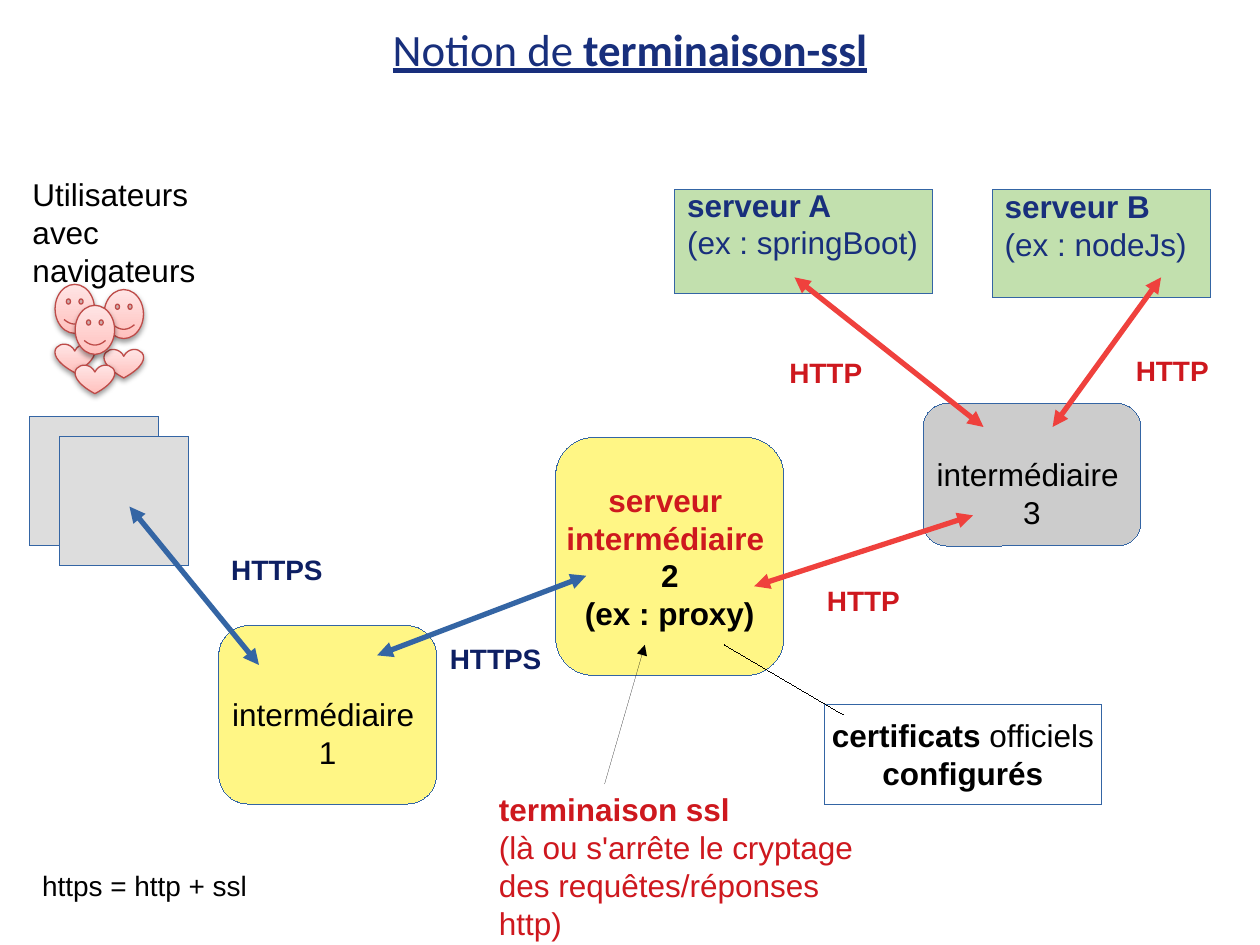
from lxml.etree import SubElement
from pptx import Presentation
from pptx.dml.color import RGBColor
from pptx.enum.shapes import MSO_CONNECTOR, MSO_SHAPE
from pptx.enum.text import MSO_ANCHOR, PP_ALIGN
from pptx.oxml import parse_xml
from pptx.oxml.ns import nsdecls, qn
from pptx.util import Pt

NAVY = RGBColor(0x18, 0x2F, 0x7C)
INK = RGBColor(0x0D, 0x1F, 0x63)
BLUE = RGBColor(0x34, 0x65, 0xA4)
RED = RGBColor(0xCE, 0x18, 0x1E)
CORAL = RGBColor(0xEF, 0x41, 0x3D)
BLACK = RGBColor(0, 0, 0)
GREEN = RGBColor(0xC2, 0xE0, 0xAE)
YELLOW = RGBColor(0xFF, 0xF6, 0x85)
GREY = RGBColor(0xCC, 0xCC, 0xCC)
PALE = RGBColor(0xDD, 0xDD, 0xDD)
BRICK = RGBColor(0xBE, 0x4B, 0x48)
PINK = RGBColor(0xFF, 0xC1, 0xBE)
BLUSH = RGBColor(0xFF, 0xE5, 0xE5)

HAIR = 0.01  # a width of zero would fall back to the theme's line
SHADOW = (f'<a:effectLst {nsdecls("a")}><a:outerShdw blurRad="39370" dist="20320" '
          'dir="5400000" rotWithShape="0"><a:srgbClr val="000000">'
          '<a:alpha val="38000"/></a:srgbClr></a:outerShdw></a:effectLst>')


def write(shape, lines, size=18, align=PP_ALIGN.LEFT, font="Arial", under=None):
    """Fill a shape with lines, each a list of (text, colour, bold) runs.

    A newline within a run becomes a line break.
    """
    frame = shape.text_frame
    for i, line in enumerate(lines):
        para = frame.paragraphs[0] if i == 0 else frame.add_paragraph()
        para.alignment = align
        for text, color, bold in line:
            for j, piece in enumerate(text.split("\n")):
                if j:
                    para.add_line_break()
                run = para.add_run()
                run.text = piece
                run.font.name, run.font.size = font, Pt(size)
                run.font.bold, run.font.underline = bold, under
                run.font.color.rgb = color


def label(slide, x, y, w, h, lines, size=18):
    box = slide.shapes.add_textbox(Pt(x), Pt(y), Pt(w), Pt(h))
    box.text_frame.word_wrap = True
    write(box, lines, size)


def panel(slide, kind, x, y, w, h, fill=None):
    shape = slide.shapes.add_shape(kind, Pt(x), Pt(y), Pt(w), Pt(h))
    shape.shadow.inherit = False
    if fill is None:
        shape.fill.background()
    else:
        shape.fill.solid()
        shape.fill.fore_color.rgb = fill
    shape.line.color.rgb = BLUE
    shape.line.width = Pt(HAIR)
    shape.text_frame.word_wrap = False
    shape.text_frame.vertical_anchor = MSO_ANCHOR.MIDDLE
    return shape


def link(slide, start, end, color=BLACK, width=HAIR, heads=()):
    """Draw a line with arrowheads at the named ends."""
    line = slide.shapes.add_connector(
        MSO_CONNECTOR.STRAIGHT, *(Pt(v) for v in (*start, *end)))
    line.line.color.rgb = color
    line.line.width = Pt(width)
    for head in heads:
        SubElement(line.line._get_or_add_ln(), qn("a:" + head), type="triangle")
    SubElement(line._element.spPr, qn("a:effectLst"))


def heading(slide, x, y, w, h):
    title = slide.shapes.title
    title.left, title.top, title.width, title.height = Pt(x), Pt(y), Pt(w), Pt(h)
    title.text_frame.vertical_anchor = MSO_ANCHOR.MIDDLE
    write(title, [[("Notion de ", NAVY, False), ("terminaison-ssl", NAVY, True)]],
          25.6, PP_ALIGN.CENTER, "Calibri", True)


def user(slide, x, y):
    for kind, drop, high in ((MSO_SHAPE.SMILEY_FACE, 0, 28), (MSO_SHAPE.HEART, 34, 16.5)):
        part = panel(slide, kind, x, y + drop, 22.5, high, PINK)
        part.fill.gradient()
        part.fill.gradient_angle = 90
        for stop, color in zip(part.fill.gradient_stops, (PINK, BLUSH)):
            stop.color.rgb = color
        part.line.color.rgb = BRICK
        part.line.width = Pt(0.75)
        props = part._element.spPr
        props.replace(props.find(qn("a:effectLst")), parse_xml(SHADOW))


def clients(slide, x, y):
    for dx, dy in ((20, 66), (48, 69), (31.5, 78)):
        user(slide, x + dx, y + dy)
    for dx, dy in ((5.5, 141.5), (22.5, 153)):
        panel(slide, MSO_SHAPE.RECTANGLE, x + dx, y + dy, 73.5, 73.5, PALE)
    label(slide, x, y, 147, 48, [[("Utilisateurs\navec navigateurs", BLACK, False)]])


def server(slide, x, y, w, h, name, tool):
    box = panel(slide, MSO_SHAPE.RECTANGLE, x, y, w, h, GREEN)
    box.text_frame.margin_top = 0
    box.text_frame.margin_bottom = Pt(20.7)
    write(box, [[(name, NAVY, True)], [(f"(ex\u00a0: {tool})", NAVY, False)]])


def relay(slide, x, y, w, h, fill, lines, drop=3.6):
    """Place a rounded box whose text is pushed down by its top inset."""
    box = panel(slide, MSO_SHAPE.ROUNDED_RECTANGLE, x, y, w, h, fill)
    box.text_frame.margin_top = Pt(drop)
    write(box, lines, align=PP_ALIGN.CENTER)


def plain(number):
    return [[("intermédiaire ", BLACK, False)], [(number, BLACK, False)]]


def chain(slide, x, y):
    """Place the two SSL relays and their HTTPS links."""
    relay(slide, x, y + 107.5, 124.5, 102, YELLOW, plain("1"), 24.3)
    relay(slide, x + 192.5, y, 130.5, 136, YELLOW, [
        [("serveur ", RED, True)], [("intermédiaire ", RED, True)],
        [("2", BLACK, True)], [("(ex\u00a0: proxy)", BLACK, True)]])
    for start, end in (((-51, 39.5), (23, 130)), ((90.5, 124.5), (210, 79))):
        link(slide, (x + start[0], y + start[1]), (x + end[0], y + end[1]),
             BLUE, 3, ("headEnd", "tailEnd"))
    for dx, dy in ((0, 62), (125, 113)):
        label(slide, x + dx, y + dy, 73.5, 27, [[("HTTPS", INK, True)]], 16)


def backend(slide, x, y):
    """Place the two servers, their relay and the HTTP links."""
    server(slide, x, y, 147.5, 60, "serveur A", "springBoot")
    server(slide, x + 181.5, y, 124.5, 62, "serveur B", "nodeJs")
    relay(slide, x + 142, y + 122.5, 124.5, 81.5, GREY, plain("3"), 24.3)
    for start, end in (((45.5, 227), (170.5, 186.5)), ((216, 136), (278, 50.5)),
                       ((68.5, 50.5), (176.5, 136))):
        link(slide, (x + start[0], y + start[1]), (x + end[0], y + end[1]),
             CORAL, 3, ("headEnd", "tailEnd"))
    for dx, dy in ((80, 222), (58.5, 91.5), (256.5, 90.5)):
        label(slide, x + dx, y + dy, 61, 27, [[("HTTP", RED, True)]], 16)


def notes(slide, x, y):
    """Place the remarks about SSL and the lines to what they explain."""
    box = panel(slide, MSO_SHAPE.RECTANGLE, x + 193, y + 34, 158.5, 57)
    write(box, [[("certificats", BLACK, True), (" officiels", BLACK, False)],
                [("configurés", BLACK, True)]], align=PP_ALIGN.CENTER)
    link(slide, (x + 204, y + 40), (x + 136, y))
    link(slide, (x + 67.5, y + 79.5), (x + 90.5, y), heads=("tailEnd",))
    label(slide, x, y + 79.5, 237.5, 67.5, [
        [("terminaison ssl", RED, True)],
        [("(là ou s'arrête le cryptage", RED, False)],
        [("des requêtes/réponses http)", RED, False)]])


def main():
    deck = Presentation()
    deck.slide_width, deck.slide_height = Pt(720), Pt(540)
    slide = deck.slides.add_slide(deck.slide_layouts[5])
    heading(slide, 36, 9.5, 648, 36)
    clients(slide, 11.5, 96.5)
    chain(slide, 125, 250)
    backend(slide, 385.5, 108)
    notes(slide, 278, 368.5)
    label(slide, 17, 493, 146, 27, [[("https = http + ssl", BLACK, False)]], 16)
    deck.save("out.pptx")


if __name__ == "__main__":
    main()
